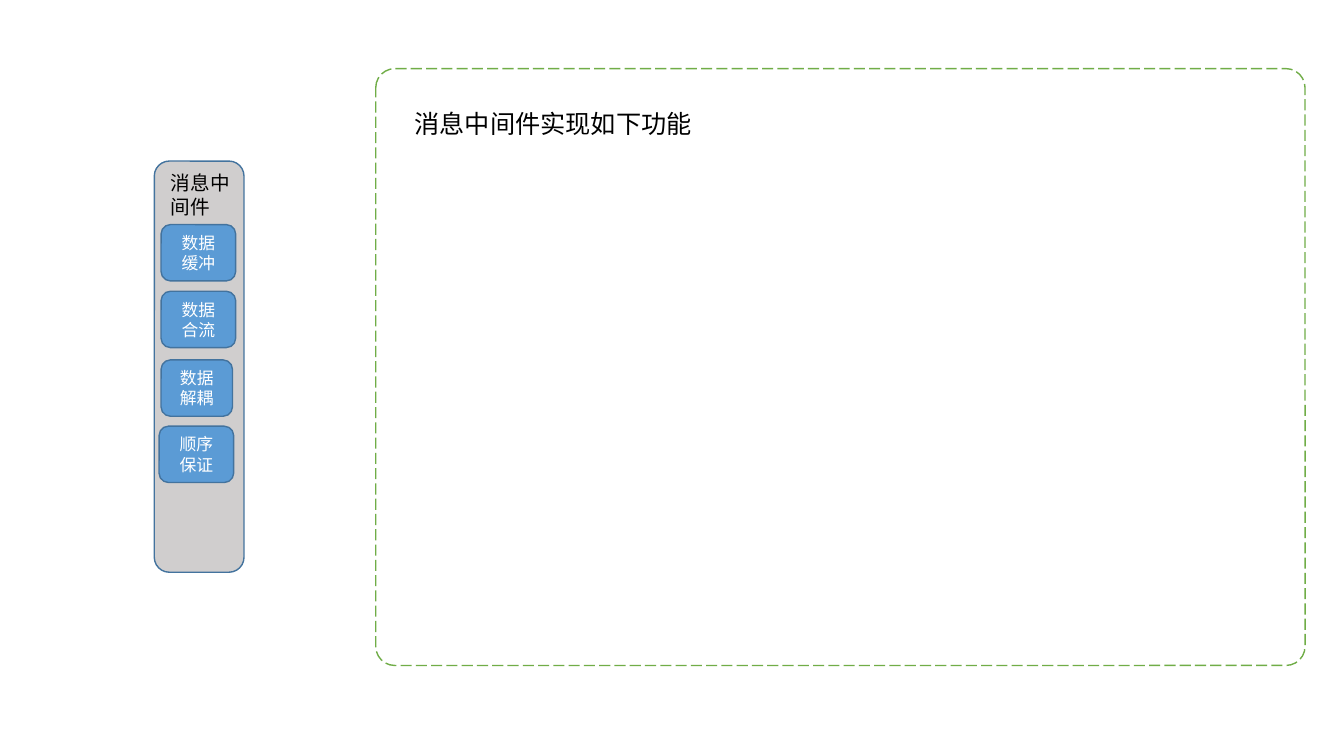
from pptx import Presentation
from pptx.dml.color import RGBColor
from pptx.enum import dml, shapes, text
from pptx.util import Cm, Pt

BLACK = RGBColor(0x00, 0x00, 0x00)
WHITE = RGBColor(0xFF, 0xFF, 0xFF)
GREY = RGBColor(0xD0, 0xCE, 0xCE)
BLUE = RGBColor(0x5B, 0x9B, 0xD5)
DARK_BLUE = RGBColor(0x43, 0x73, 0x9E)
GREEN = RGBColor(0x70, 0xAD, 0x47)


def add_rounded(left, top, width, height, fill, line):
    box = slide.shapes.add_shape(shapes.MSO_SHAPE.ROUNDED_RECTANGLE,
                                 Cm(left), Cm(top), Cm(width), Cm(height))
    box.shadow.inherit = False
    box.fill.solid()
    box.fill.fore_color.rgb = fill
    box.line.color.rgb = line
    box.line.width = Pt(1)
    return box


def write(holder, wording, size, color, align, anchor):
    frame = holder.text_frame
    frame.text = wording
    frame.word_wrap = True
    frame.auto_size = text.MSO_AUTO_SIZE.NONE
    frame.vertical_anchor = anchor
    paragraph = frame.paragraphs[0]
    paragraph.alignment = align
    paragraph.font.name = "Calibri"
    paragraph.font.size = Pt(size)
    paragraph.font.color.rgb = color


prs = Presentation()
prs.slide_width, prs.slide_height = Cm(33.87), Cm(19.05)
slide = prs.slides.add_slide(prs.slide_layouts[5])
LEFT, CENTER = text.PP_ALIGN.LEFT, text.PP_ALIGN.CENTER
TOP, MIDDLE = text.MSO_ANCHOR.TOP, text.MSO_ANCHOR.MIDDLE

# Middleware column with its label
add_rounded(3.89, 4.06, 2.26, 10.36, GREY, DARK_BLUE)
middleware_label = slide.shapes.add_textbox(Cm(4.06), Cm(4.19), Cm(2.01), Cm(1.45))
write(middleware_label, "消息中间件", 14, BLACK, LEFT, TOP)

# Functions inside the column
for function, left, top, width in [
    ("数据缓冲", 4.06, 5.66, 1.88),
    ("数据合流", 4.06, 7.34, 1.88),
    ("数据解耦", 4.06, 9.07, 1.8),
    ("顺序保证", 4.01, 10.74, 1.88),
]:
    block = add_rounded(left, top, width, 1.42, BLUE, DARK_BLUE)
    write(block, function, 12, WHITE, CENTER, MIDDLE)

# Dashed description panel
panel = add_rounded(9.47, 1.73, 23.42, 15.04, WHITE, GREEN)
panel.adjustments[0] = 0.032
panel.line.dash_style = dml.MSO_LINE.LONG_DASH

# Panel heading, brought in front of the panel
heading = slide.shapes.title
heading.left, heading.top = Cm(10.19), Cm(2.59)
heading.width, heading.height = Cm(21.97), Cm(1.02)
write(heading, "消息中间件实现如下功能", 18, BLACK, LEFT, TOP)
slide.shapes.element.append(heading.element)

prs.save("out.pptx")
